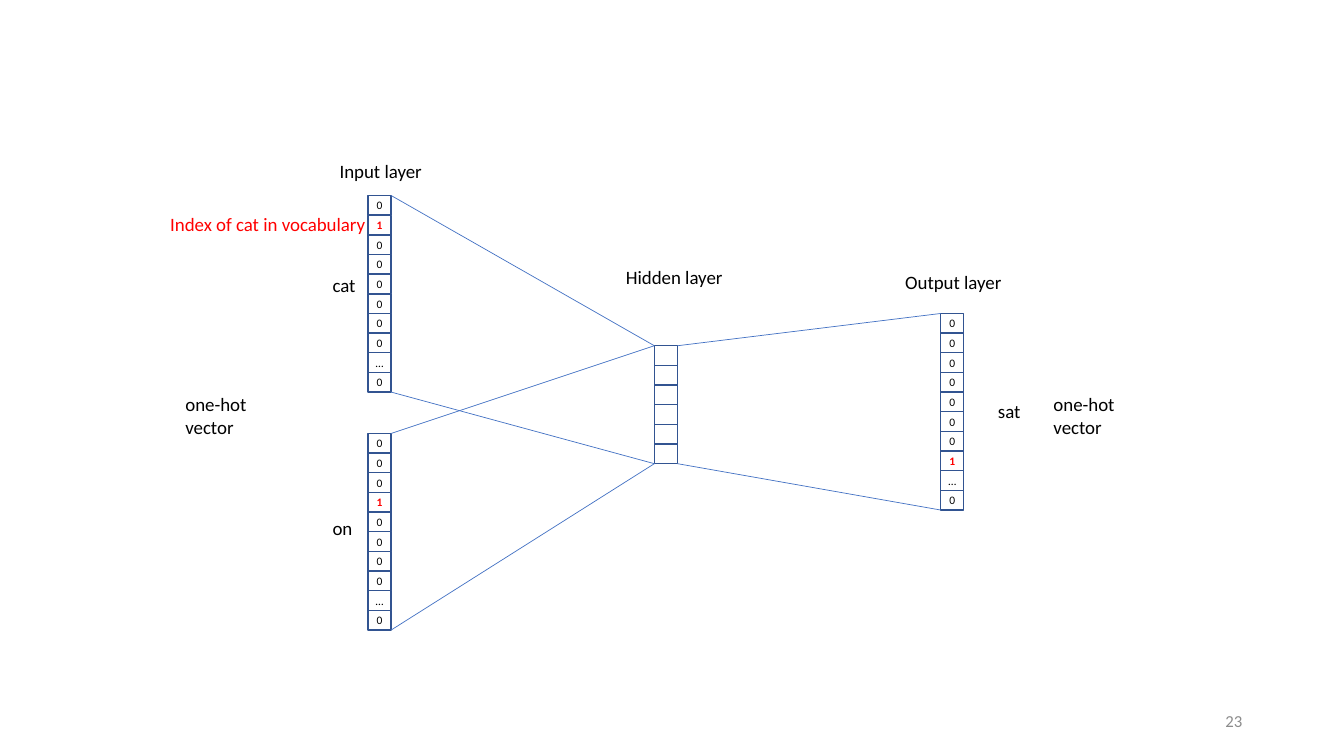
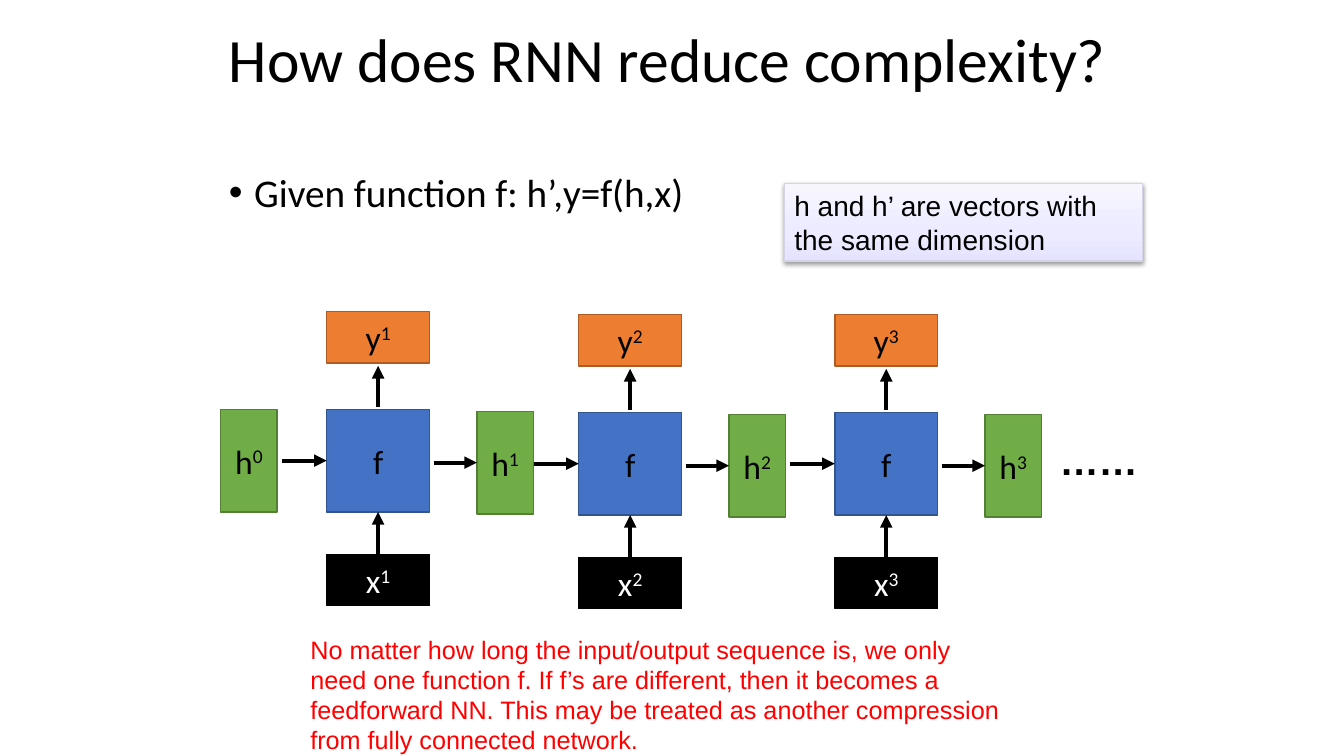
from dataclasses import dataclass

from pptx import Presentation
from pptx import oxml
from pptx import util as u
from pptx.dml import color
from pptx.enum import shapes, text
from pptx.oxml import ns

COLORS = {
    "black": "000000",
    "white": "FFFFFF",
    "red": "FF0000",
    "gray": "8C8C8C",
    "blue": "4472C4",
    "blue_edge": "325491",
    "green": "70AD47",
    "green_edge": "538035",
    "orange": "ED7D31",
    "orange_edge": "AF5C24",
    "note_edge": "D4D3E7",
    "note_top": "F7F6FF",
    "note_middle": "ECEBFF",
    "note_bottom": "E5E3FF",
}
CELL_WIDTH = 0.23
BOX_SIDE = 1.02
STATE_WIDTH = 0.56
FLAT_HEIGHT = 0.51


@dataclass(frozen=True)
class Vector:
    left: float
    top: float
    height: float
    values: tuple[str, ...]

    @property
    def right(self) -> float:
        return self.left + CELL_WIDTH

    @property
    def bottom(self) -> float:
        return self.top + self.height


@dataclass(frozen=True)
class Label:
    wording: str
    left: float
    top: float
    width: float
    height: float = 0.33
    color: str = "black"


@dataclass(frozen=True)
class Step:
    index: str
    left: float
    top: float


def one_hot(hot: int) -> tuple[str, ...]:
    return tuple("1" if i == hot else "…" if i == 8 else "0" for i in range(10))


CAT = Vector(3.65, 1.94, 1.95, one_hot(1))
ON = Vector(3.65, 4.3, 1.95, one_hot(3))
HIDDEN = Vector(6.49, 3.43, 1.17, ("",) * 6)
SAT = Vector(9.33, 3.11, 1.95, one_hot(7))

LABELS = (
    Label("cat", 3.2, 2.67, 0.43),
    Label("on", 3.2, 5.08, 0.4),
    Label("sat", 9.8, 3.92, 0.43),
    Label("Input layer", 3.27, 1.53, 1.03),
    Label("Hidden layer", 6.11, 2.59, 1.18),
    Label("Output layer", 8.88, 2.64, 1.17),
    Label("one-hot\nvector", 1.74, 3.85, 0.82, 0.56),
    Label("one-hot\nvector", 10.35, 3.85, 0.82, 0.56),
    Label("Index of cat in vocabulary", 1.59, 2.06, 2.17, color="red"),
)
STEPS = (Step("1", 3.24, 4.06), Step("2", 5.74, 4.09), Step("3", 8.28, 4.09))


def rgb(name: str) -> color.RGBColor:
    return color.RGBColor.from_string(COLORS[name])


def write(shape, wording: str, *, size: float, font: str = "Calibri",
          ink: str = "black", bold: bool = False, sup: str = "",
          align=text.PP_ALIGN.LEFT, anchor=None, wrap: bool = True,
          grow: bool = False, inset: float | None = None,
          spacing: float | None = None, before: float | None = None) -> None:
    frame = shape.text_frame
    frame.word_wrap = wrap
    if anchor is not None:
        frame.vertical_anchor = anchor
    if grow:
        frame.auto_size = text.MSO_AUTO_SIZE.SHAPE_TO_FIT_TEXT
    if inset is not None:
        frame.margin_left = frame.margin_right = u.Inches(inset)
        frame.margin_top = frame.margin_bottom = u.Inches(inset)
    frame.text = wording
    if sup:
        raised = frame.paragraphs[-1].add_run()
        raised.text = sup
        raised._r.get_or_add_rPr().set("baseline", "30000")
    for paragraph in frame.paragraphs:
        paragraph.alignment = align
        if spacing is not None:
            paragraph.line_spacing = spacing
        if before is not None:
            paragraph.space_before = u.Pt(before)
        for run in paragraph.runs:
            run.font.name = font
            run.font.size = u.Pt(size)
            run.font.bold = bold
            run.font.color.rgb = rgb(ink)


def place(shape, left: float, top: float, width: float, height: float) -> None:
    shape.left, shape.top = u.Inches(left), u.Inches(top)
    shape.width, shape.height = u.Inches(width), u.Inches(height)


def add_text(slide, wording: str, left: float, top: float, width: float,
             height: float, **style) -> None:
    box = slide.shapes.add_textbox(u.Inches(left), u.Inches(top),
                                   u.Inches(width), u.Inches(height))
    write(box, wording, **style)


def add_box(parent, left: float, top: float, width: float, height: float,
            fill: str | None, edge: str, weight: float = 1):
    box = parent.shapes.add_shape(shapes.MSO_SHAPE.RECTANGLE, u.Inches(left),
                                  u.Inches(top), u.Inches(width), u.Inches(height))
    box.shadow.inherit = False
    if fill:
        box.fill.solid()
        box.fill.fore_color.rgb = rgb(fill)
    else:
        box.fill.background()
    box.line.color.rgb = rgb(edge)
    box.line.width = u.Pt(weight)
    return box


def add_line(slide, start: tuple[float, float], end: tuple[float, float],
             ink: str, weight: float, arrow: bool = False):
    line = slide.shapes.add_connector(
        shapes.MSO_CONNECTOR.STRAIGHT, u.Inches(start[0]), u.Inches(start[1]),
        u.Inches(end[0]), u.Inches(end[1]))
    line.line.color.rgb = rgb(ink)
    line.line.width = u.Pt(weight)
    properties = line.element.spPr
    if arrow:
        head = oxml.parse_xml(f'<a:tailEnd {ns.nsdecls("a")} type="triangle"/>')
        properties.find(ns.qn("a:ln")).append(head)
    properties.append(oxml.parse_xml(f'<a:effectLst {ns.nsdecls("a")}/>'))
    return line


def add_arrow(slide, start: tuple[float, float], end: tuple[float, float]):
    return add_line(slide, start, end, "black", 3, arrow=True)


def add_vector(slide, vector: Vector) -> None:
    column = slide.shapes.add_group_shape()
    pitch = vector.height / len(vector.values)
    for row, value in enumerate(vector.values):
        cell = add_box(column, vector.left, vector.top + row * pitch,
                       CELL_WIDTH, pitch, None, "blue_edge")
        if value:
            hot = value == "1"
            write(cell, value, size=8.2, ink="red" if hot else "black", bold=hot,
                  align=text.PP_ALIGN.CENTER, anchor=text.MSO_ANCHOR.MIDDLE,
                  wrap=False, inset=0)


def add_fan(slide, source: Vector, target: Vector) -> None:
    for start, end in ((source.top, target.top), (source.bottom, target.bottom)):
        add_line(slide, (source.right, start), (target.left, end), "blue", 0.5)


def add_node(slide, letter: str, index: str, left: float, top: float,
             width: float, height: float, fill: str, edge: str,
             ink: str = "black"):
    node = add_box(slide, left, top, width, height, fill, edge)
    write(node, letter, sup=index, size=24, ink=ink,
          align=text.PP_ALIGN.CENTER, anchor=text.MSO_ANCHOR.MIDDLE)
    return node


def add_state(slide, index: str, left: float, top: float):
    return add_node(slide, "h", index, left, top, STATE_WIDTH, BOX_SIDE,
                    "green", "green_edge")


def add_step(slide, step: Step) -> None:
    left, top = step.left, step.top
    middle = top + BOX_SIDE / 2
    center = left + BOX_SIDE / 2
    output_top, input_top = top - 0.97, top + 1.44
    state_left, state_top = left + 1.49, top + 0.02
    state_middle = state_top + BOX_SIDE / 2

    function = add_node(slide, "f", "", left, top, BOX_SIDE, BOX_SIDE,
                        "blue", "blue_edge")
    state = add_state(slide, step.index, state_left, state_top)
    add_node(slide, "y", step.index, left, output_top, BOX_SIDE, FLAT_HEIGHT,
             "orange", "orange_edge")
    source = add_node(slide, "x", step.index, left, input_top, BOX_SIDE,
                      FLAT_HEIGHT, "black", "black", ink="white")

    state_in = add_arrow(slide, (left - 0.44, middle), (left, middle))
    state_in.end_connect(function, 1)
    state_out = add_arrow(slide, (left + 1.06, state_middle),
                          (state_left, state_middle))
    state_out.end_connect(state, 1)
    add_arrow(slide, (center, top - 0.02), (center, output_top + 0.54))
    feed = add_arrow(slide, (center, input_top), (center, top + BOX_SIDE))
    feed.begin_connect(source, 0)
    feed.end_connect(function, 2)


def add_dimension_note(slide) -> None:
    note = add_box(slide, 7.78, 1.82, 3.55, 0.77, None, "note_edge", 0.75)
    properties = note.element.spPr
    stops = "".join(
        f'<a:gs pos="{position * 1000}"><a:srgbClr val="{COLORS[name]}"/></a:gs>'
        for position, name in ((0, "note_top"), (65, "note_middle"),
                               (100, "note_bottom")))
    gradient = oxml.parse_xml(
        f'<a:gradFill {ns.nsdecls("a")} rotWithShape="1"><a:gsLst>{stops}</a:gsLst>'
        '<a:lin ang="5400000" scaled="0"/></a:gradFill>')
    properties.replace(properties.find(ns.qn("a:noFill")), gradient)
    shadow = oxml.parse_xml(
        f'<a:outerShdw {ns.nsdecls("a")} blurRad="{u.Pt(3.1)}" dist="{u.Pt(1.6)}" '
        f'dir="5400000" rotWithShape="0"><a:srgbClr val="{COLORS["black"]}">'
        '<a:alpha val="38000"/></a:srgbClr></a:outerShdw>')
    properties.find(ns.qn("a:effectLst")).append(shadow)
    write(note, "h and h’ are vectors with the same dimension", size=20,
          font="Arial", anchor=text.MSO_ANCHOR.TOP, grow=True)


def build_embedding_slide(deck) -> None:
    slide = deck.slides.add_slide(deck.slide_layouts[6])
    add_text(slide, "23", 9.42, 6.95, 3, 0.4, size=12, ink="gray",
             align=text.PP_ALIGN.RIGHT, anchor=text.MSO_ANCHOR.MIDDLE)
    for vector in (CAT, ON, HIDDEN, SAT):
        add_vector(slide, vector)
    for source, target in ((CAT, HIDDEN), (ON, HIDDEN), (HIDDEN, SAT)):
        add_fan(slide, source, target)
    for label in LABELS:
        add_text(slide, label.wording, label.left, label.top, label.width,
                 label.height, size=13.5, ink=label.color, wrap=False, grow=True)


def build_rnn_slide(deck) -> None:
    slide = deck.slides.add_slide(deck.slide_layouts[1])
    title, body = slide.shapes.title, slide.placeholders[1]
    place(title, 2.17, 0, 9, 1.25)
    write(title, "How does RNN reduce complexity?", size=44, spacing=0.9,
          anchor=text.MSO_ANCHOR.MIDDLE)
    place(body, 2.17, 1.67, 9.17, 5.42)
    write(body, "Given function f: h’,y=f(h,x)", size=28, spacing=0.9, before=10)
    indents = body.text_frame.paragraphs[0]._p.get_or_add_pPr()
    indents.set("marL", str(u.Inches(0.25)))
    indents.set("indent", str(u.Inches(-0.25)))

    add_state(slide, "0", 2.19, 4.06)
    for step in STEPS:
        add_step(slide, step)
    add_text(slide, "……", 10.41, 4.28, 1.02, 0.57, size=28, font="Arial",
             bold=True, grow=True)
    add_text(slide, "No matter how long the input/output sequence is, we only "
             "need one function f. If f’s are different, then it becomes a "
             "feedforward NN. This may be treated as another compression from "
             "fully connected network.", 2.98, 6.24, 7.16, 1.31, size=18,
             font="Arial", ink="red", grow=True)
    add_dimension_note(slide)


def main() -> None:
    deck = Presentation()
    deck.slide_width, deck.slide_height = u.Inches(13.33), u.Inches(7.5)
    build_embedding_slide(deck)
    build_rnn_slide(deck)
    deck.save("out.pptx")


if __name__ == "__main__":
    main()
